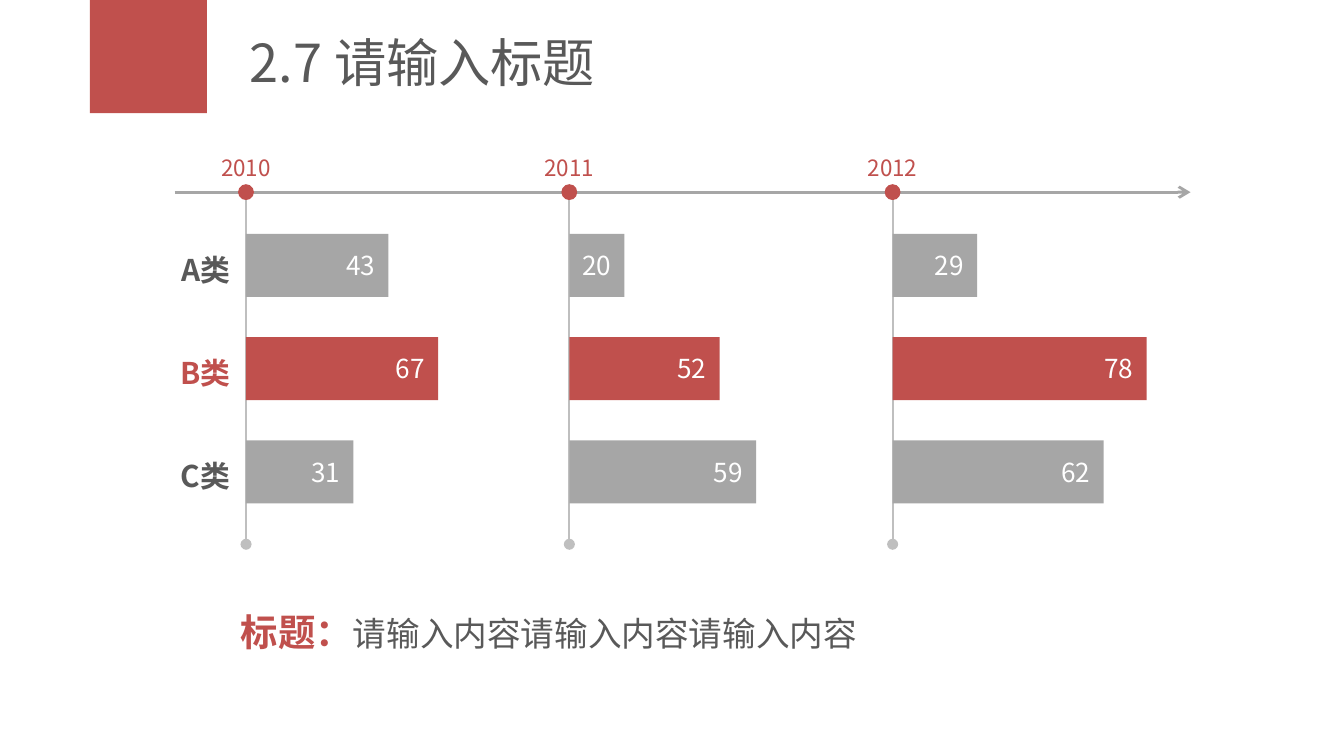
from dataclasses import dataclass

from lxml.etree import SubElement
from pptx import Presentation
from pptx.dml.color import RGBColor
from pptx.enum.shapes import MSO_CONNECTOR, MSO_SHAPE
from pptx.enum.text import MSO_ANCHOR, MSO_AUTO_SIZE, PP_ALIGN
from pptx.oxml.ns import qn
from pptx.util import Cm, Pt


@dataclass(frozen=True)
class Theme:
    font: str = "Noto Sans CJK SC"
    accent: str = "C0504D"
    ink: str = "595959"
    gray: str = "A6A6A6"
    pale: str = "BFBFBF"
    white: str = "FFFFFF"
    title_size: int = 28
    lead_size: int = 20
    body_size: int = 18
    label_size: int = 16
    value_size: int = 14
    year_size: int = 12


def add_span(para, text, *, size, color, bold=False, font=Theme.font):
    span = para.add_run()
    span.text = text
    span.font.size = Pt(size)
    span.font.bold = bold
    span.font.color.rgb = RGBColor.from_string(color)
    span.font.name = font
    SubElement(span.font._element, qn("a:ea"), typeface=font)


class SlideBuilder:
    def __init__(self, deck, theme):
        self.theme = theme
        self.slide = deck.slides.add_slide(deck.slide_layouts[5])
        self.shapes = self.slide.shapes

    def start_group(self):
        self.shapes = self.slide.shapes.add_group_shape().shapes

    def end_group(self):
        self.shapes = self.slide.shapes

    def title(self, text, left, top, width, height):
        box = self.slide.shapes.title
        box.left, box.top, box.width, box.height = map(Cm, (left, top, width, height))
        frame = box.text_frame
        frame.auto_size = MSO_AUTO_SIZE.NONE
        frame.vertical_anchor = MSO_ANCHOR.MIDDLE
        frame.paragraphs[0].alignment = PP_ALIGN.LEFT
        add_span(frame.paragraphs[0], text, size=self.theme.title_size, color=self.theme.ink)

    def shape(self, kind, left, top, width, height, color):
        shape = self.shapes.add_shape(kind, Cm(left), Cm(top), Cm(width), Cm(height))
        shape.shadow.inherit = False
        shape.fill.solid()
        shape.fill.fore_color.rgb = RGBColor.from_string(color)
        shape.line.fill.background()

    def text(self, left, top, width, height, *spans, align=PP_ALIGN.LEFT, spacing=None, wrap=True):
        box = self.shapes.add_textbox(Cm(left), Cm(top), Cm(width), Cm(height))
        frame = box.text_frame
        frame.word_wrap = wrap
        frame.auto_size = MSO_AUTO_SIZE.SHAPE_TO_FIT_TEXT
        para = frame.paragraphs[0]
        para.alignment = align
        para.line_spacing = spacing
        for text, style in spans:
            add_span(para, text, **style)

    def line(self, start, end, color, width, tip):
        line = self.shapes.add_connector(MSO_CONNECTOR.STRAIGHT, *map(Cm, start + end))
        line.line.color.rgb = RGBColor.from_string(color)
        line.line.width = Pt(width)
        SubElement(line.line._get_or_add_ln(), qn("a:tailEnd"), type=tip)
        SubElement(line._element.spPr, qn("a:effectLst"))


theme = Theme()
deck = Presentation()
deck.slide_width, deck.slide_height = Cm(25.4), Cm(14.28)
page = SlideBuilder(deck, theme)

# Data: each bar has its value and its drawn length
years = {
    "2010": [(43, 2.69), (67, 3.63), (31, 2.03)],
    "2011": [(20, 1.04), (52, 2.84), (59, 3.53)],
    "2012": [(29, 1.6), (78, 4.8), (62, 3.99)],
}
categories = [("A类", theme.ink, theme.gray),
              ("B类", theme.accent, theme.accent),
              ("C类", theme.ink, theme.gray)]

# Grid
first_column, column_step = 4.65, 6.11
first_row, row_step, bar_height = 4.42, 1.95, 1.19
axis_top, stem_bottom, dot_size = 3.63, 10.28, 0.3
value_width = 1.6
columns = [first_column + column_step * index for index in range(len(years))]
rows = [first_row + row_step * index for index in range(len(categories))]

# Heading
page.shape(MSO_SHAPE.RECTANGLE, 1.7, 0, 2.21, 2.14, theme.accent)
page.title("2.7 请输入标题", 4.47, 0.36, 20.04, 1.6)

# Time axis
page.line((3.3, axis_top), (22.5, axis_top), theme.gray, 1.5, "arrow")

# Years with their stems and bars
for x, (year, bars) in zip(columns, years.items()):
    page.text(x - 0.75, 2.54, 1.5, 0.94,
              (year, dict(size=theme.year_size, color=theme.accent)),
              align=PP_ALIGN.CENTER, spacing=1.5, wrap=False)
    page.shape(MSO_SHAPE.OVAL, x - dot_size / 2, axis_top - dot_size / 2,
               dot_size, dot_size, theme.accent)
    page.line((x, axis_top + dot_size / 2), (x, stem_bottom), theme.pale, 1, "oval")
    page.start_group()
    for y, (value, length), (_, _, fill) in zip(rows, bars, categories):
        page.shape(MSO_SHAPE.RECTANGLE, x, y, length, bar_height, fill)
        page.text(x + length - value_width, y + 0.17, value_width, 0.86,
                  (str(value), dict(size=theme.value_size, color=theme.white)),
                  align=PP_ALIGN.RIGHT)
    page.end_group()

# Category labels
for y, (label, color, _) in zip(rows, categories):
    page.text(2.7, y + 0.2, 1.9, 0.94,
              (label, dict(size=theme.label_size, color=color, bold=True)),
              align=PP_ALIGN.RIGHT)

# Caption
page.text(4.3, 10.95, 17.4, 1.4,
          ("标题：", dict(size=theme.lead_size, color=theme.accent, bold=True)),
          ("请输入内容" * 3, dict(size=theme.body_size, color=theme.ink)),
          spacing=1.5)

deck.save("out.pptx")
